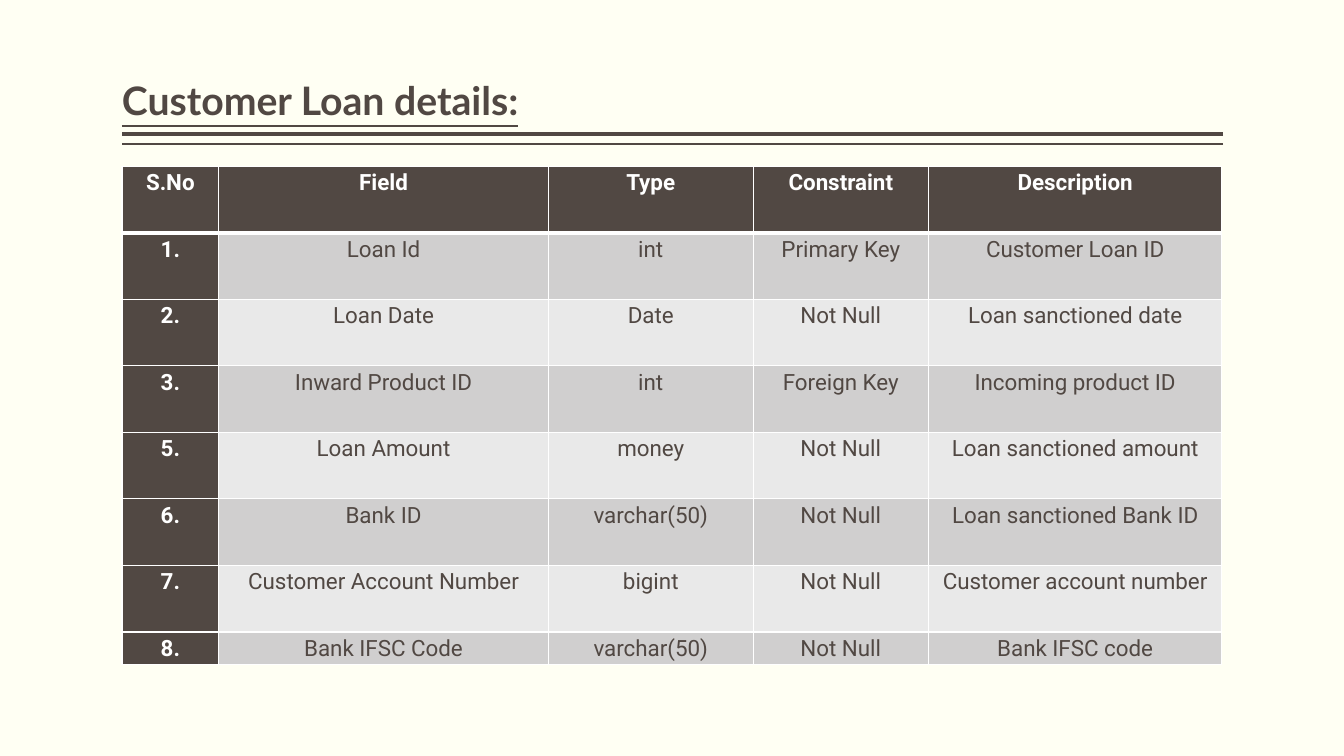
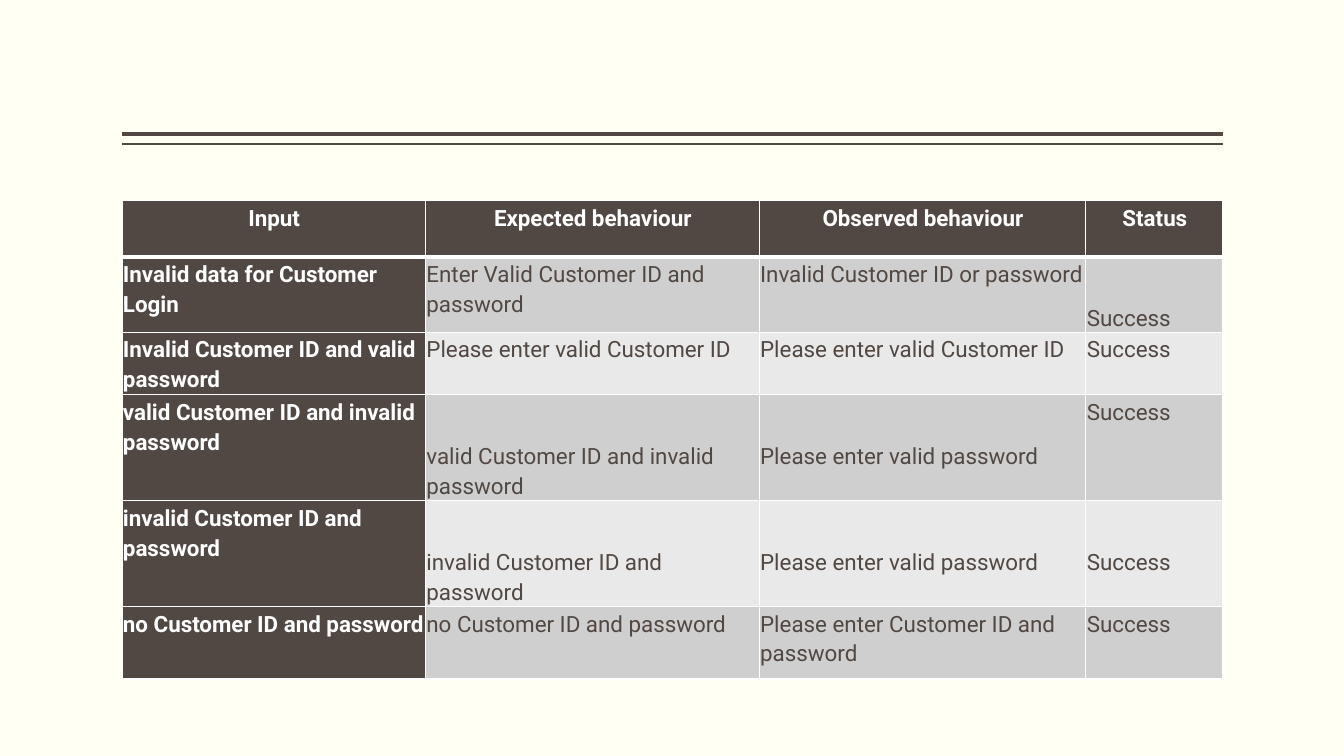
from lxml.etree import SubElement
from pptx import Presentation
from pptx.dml.color import RGBColor
from pptx.enum.shapes import MSO_CONNECTOR
from pptx.enum.text import MSO_ANCHOR, MSO_AUTO_SIZE, PP_ALIGN
from pptx.oxml.ns import qn
from pptx.util import Inches, Pt

COLORS = {
    "background": "FFFFF3",
    "dark": "514843",
    "white": "FFFFFF",
    "odd_row": "D0CFCF",
    "even_row": "E9E9E9",
}
LEFT, WIDTH = 1.21, 10.92
TITLE_ONLY, BLANK = 5, 6
DROP = 0.44

LOAN_ROWS = [
    ("S.No", "Field", "Type", "Constraint", "Description"),
    ("1.", "Loan Id", "int", "Primary Key", "Customer Loan ID"),
    ("2.", "Loan Date", "Date", "Not Null", "Loan sanctioned date"),
    ("3.", "Inward Product ID", "int", "Foreign Key", "Incoming product ID"),
    ("5.", "Loan Amount", "money", "Not Null", "Loan sanctioned amount"),
    ("6.", "Bank ID", "varchar(50)", "Not Null", "Loan sanctioned Bank ID"),
    ("7.", "Customer Account Number", "bigint", "Not Null", "Customer account number"),
    ("8.", "Bank IFSC Code", "varchar(50)", "Not Null", "Bank IFSC code"),
]
LOGIN_TEST_ROWS = [
    ("Input", "Expected behaviour", "Observed behaviour", "Status"),
    ("Invalid data for Customer Login", "Enter Valid Customer ID and password",
     "Invalid Customer ID or password", "Success"),
    ("Invalid Customer ID and valid password", "Please enter valid Customer ID",
     "Please enter valid Customer ID", "Success"),
    ("valid Customer ID and invalid password", "valid Customer ID and invalid password",
     "Please enter valid password", "Success"),
    ("invalid Customer ID and password", "invalid Customer ID and password",
     "Please enter valid password", "Success"),
    ("no Customer ID and password", "no Customer ID and password",
     "Please enter Customer ID and password", "Success"),
]
LOWERED_CELLS = {(1, 3), (3, 1), (3, 2), (4, 1), (4, 2), (4, 3)}


def color(name):
    return RGBColor.from_string(COLORS[name])


class Deck:
    """Hold the shared style and the current slide."""

    def __init__(self):
        self.presentation = Presentation()
        self.presentation.slide_width = Inches(13.33)
        self.presentation.slide_height = Inches(7.5)
        background = self.presentation.slide_master.background.fill
        background.solid()
        background.fore_color.rgb = color("background")
        self.slide = None

    def add_slide(self, layout):
        self.slide = self.presentation.slides.add_slide(
            self.presentation.slide_layouts[layout])
        self.add_rule(1.33, 3)
        self.add_rule(1.43, 1)

    def add_rule(self, top, weight):
        rule = self.slide.shapes.add_connector(
            MSO_CONNECTOR.STRAIGHT, Inches(LEFT + WIDTH), Inches(top),
            Inches(LEFT), Inches(top))
        rule.line.color.rgb = color("dark")
        rule.line.width = Pt(weight)
        SubElement(rule.element.spPr, qn("a:effectLst"))

    def set_title(self, text):
        title = self.slide.shapes.title
        title.left, title.top = Inches(LEFT), Inches(0.08)
        title.width, title.height = Inches(WIDTH), Inches(1.2)
        frame = title.text_frame
        frame.text = text
        frame.word_wrap = True
        frame.auto_size = MSO_AUTO_SIZE.NONE
        frame.vertical_anchor = MSO_ANCHOR.BOTTOM
        frame.margin_left = frame.margin_right = 0
        frame.margin_top = frame.margin_bottom = Inches(0.05)
        paragraph = frame.paragraphs[0]
        paragraph.alignment = PP_ALIGN.LEFT
        paragraph.line_spacing = 0.9
        self.set_font(paragraph, "Lato", 28, "dark", True)
        paragraph.font.underline = True

    def set_font(self, paragraph, name, size, color_name, bold):
        font = paragraph.font
        font.name, font.size, font.bold = name, Pt(size), bold
        font.color.rgb = color(color_name)

    def add_table(self, top, widths, heights, rows, margins, centered=False, lowered=()):
        table = self.slide.shapes.add_table(
            len(rows), len(widths), Inches(LEFT), Inches(top),
            Inches(sum(widths)), Inches(sum(heights))).table
        table.horz_banding = False
        for column, width in zip(table.columns, widths):
            column.width = Inches(width)
        for row, height in zip(table.rows, heights):
            row.height = Inches(height)
        for row_index, texts in enumerate(rows):
            for column_index, text in enumerate(texts):
                cell = table.cell(row_index, column_index)
                self.set_borders(cell, row_index)
                self.fill_cell(cell, row_index, column_index)
                left, cell_top, right = margins
                if (row_index, column_index) in lowered:
                    cell_top += DROP
                cell.margin_left, cell.margin_right = Inches(left), Inches(right)
                cell.margin_top, cell.margin_bottom = Inches(cell_top), 0
                cell.text = text
                paragraph = cell.text_frame.paragraphs[0]
                paragraph.line_spacing = 1.15
                is_centered = centered or row_index == 0
                paragraph.alignment = PP_ALIGN.CENTER if is_centered else PP_ALIGN.LEFT
                is_heading = row_index == 0 or column_index == 0
                self.set_font(paragraph, "Roboto", 16,
                              "white" if is_heading else "dark", is_heading)

    def fill_cell(self, cell, row_index, column_index):
        if row_index == 0 or column_index == 0:
            name = "dark"
        else:
            name = "odd_row" if row_index % 2 else "even_row"
        cell.fill.solid()
        cell.fill.fore_color.rgb = color(name)

    def set_borders(self, cell, row_index):
        properties = cell._tc.get_or_add_tcPr()
        for side in ("L", "R", "T", "B"):
            is_thick = (row_index, side) in ((0, "B"), (1, "T"))
            border = SubElement(properties, qn(f"a:ln{side}"), w=str(Pt(3 if is_thick else 1)))
            fill = SubElement(border, qn("a:solidFill"))
            SubElement(fill, qn("a:srgbClr"), val=COLORS["white"])


def main():
    deck = Deck()

    deck.add_slide(TITLE_ONLY)
    deck.set_title("Customer Loan details:")
    deck.add_table(1.65, [0.96, 3.27, 2.03, 1.74, 2.91], [0.66] * 7 + [0.32],
                   LOAN_ROWS, (0.07, 0, 0.07), centered=True)

    deck.add_slide(BLANK)
    deck.add_table(1.99, [3.01, 3.31, 3.24, 1.36], [0.56, 0.73, 0.62, 1.05, 1.05, 0.72],
                   LOGIN_TEST_ROWS, (0.01, 0.01, 0), lowered=LOWERED_CELLS)

    deck.presentation.save("out.pptx")


if __name__ == "__main__":
    main()
